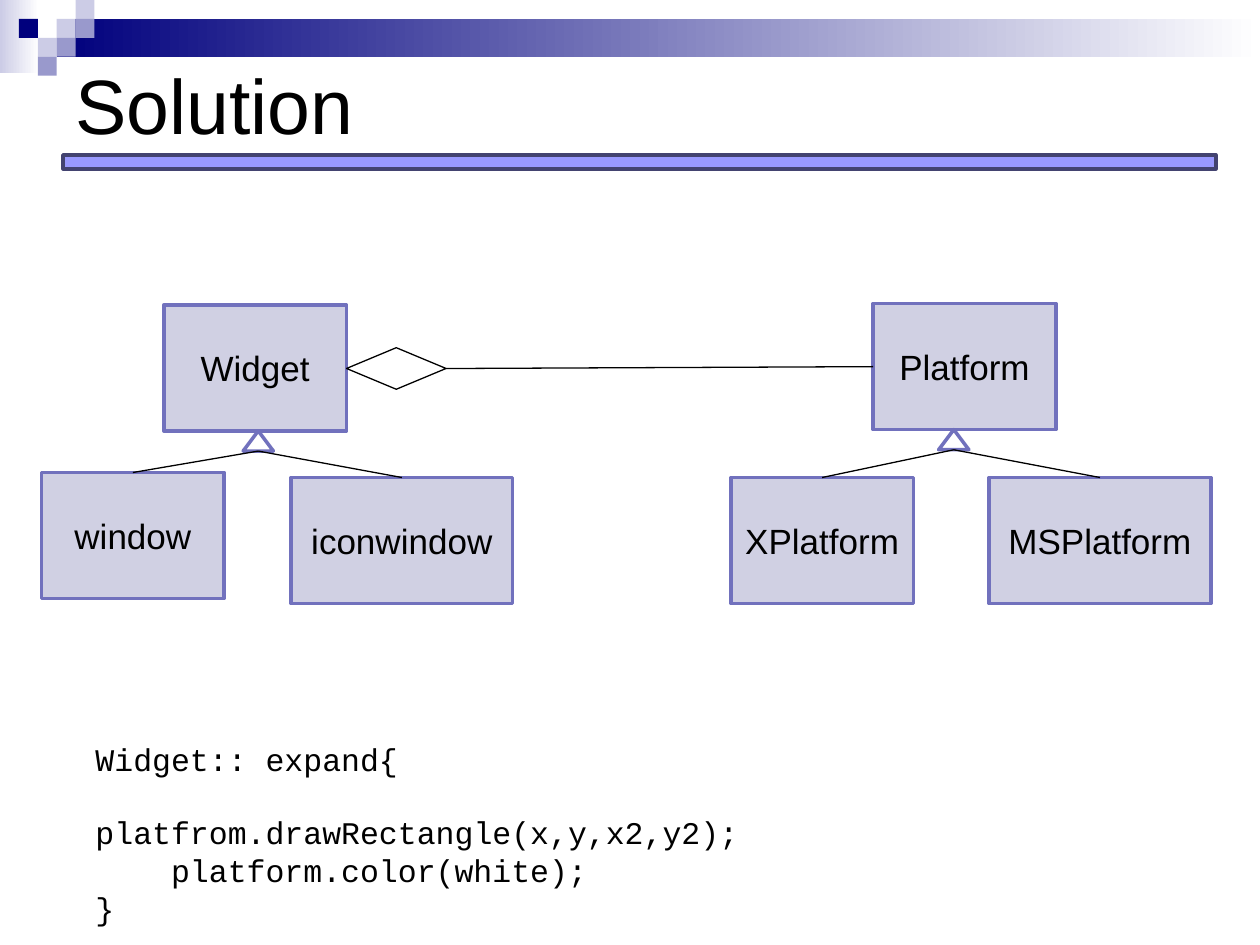
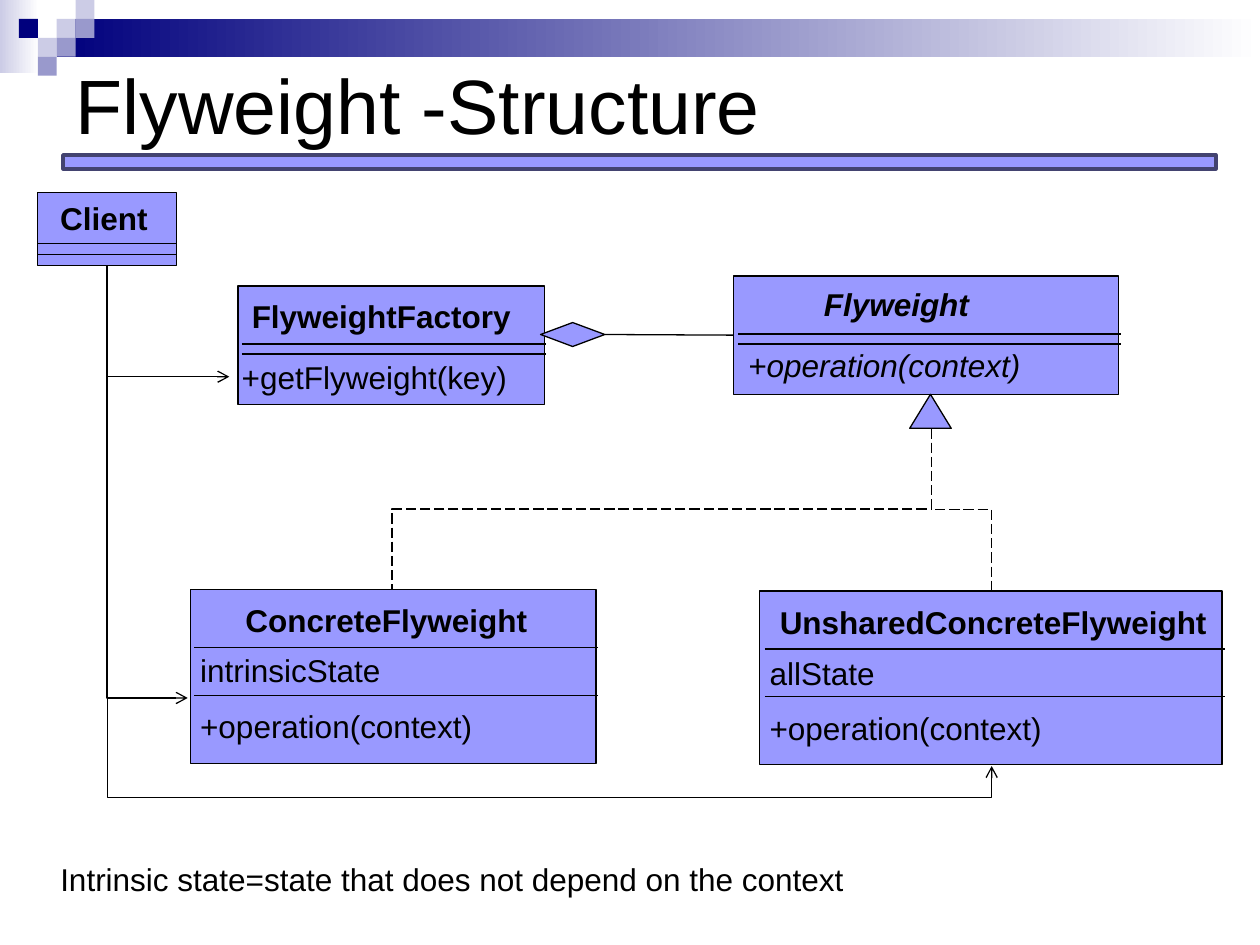
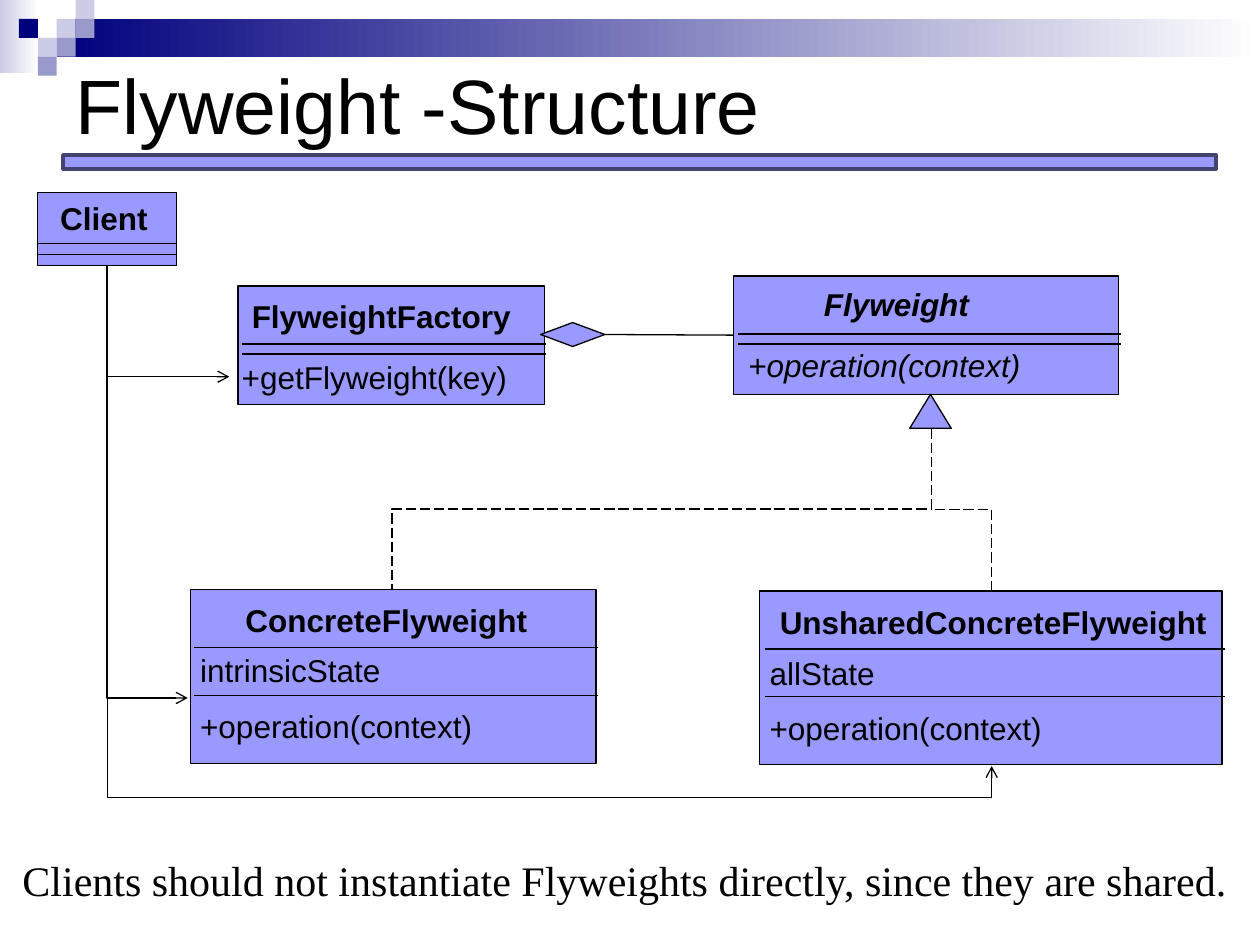
from lxml.etree import SubElement
from pptx import Presentation
from pptx.dml.color import RGBColor
from pptx.enum.dml import MSO_LINE
from pptx.enum.shapes import MSO_CONNECTOR, MSO_SHAPE
from pptx.enum.text import MSO_ANCHOR, PP_ALIGN
from pptx.oxml.ns import qn
from pptx.util import Inches, Pt

BLACK = RGBColor(0x00, 0x00, 0x00)
WHITE = RGBColor(0xFF, 0xFF, 0xFF)
NAVY = RGBColor(0x00, 0x00, 0x7D)
PALE = RGBColor(0xCC, 0xCC, 0xE6)
MID = RGBColor(0x99, 0x99, 0xCC)
PERIWINKLE = RGBColor(0x99, 0x99, 0xFF)
SLATE = RGBColor(0x43, 0x43, 0x70)
LAVENDER = RGBColor(0xD0, 0xD0, 0xE3)
VIOLET = RGBColor(0x71, 0x71, 0xBD)

CELL = 0.15  # side of a checker square in the header


def write(shape, text, size=18, font="Arial", bold=False, italic=False,
          align=PP_ALIGN.LEFT, anchor=MSO_ANCHOR.TOP):
    frame = shape.text_frame
    frame.text = text
    frame.word_wrap = False
    frame.vertical_anchor = anchor
    for paragraph in frame.paragraphs:
        paragraph.alignment = align
        for run in paragraph.runs:
            run.font.name, run.font.size = font, Pt(size)
            run.font.bold, run.font.italic = bold, italic
            run.font.color.rgb = BLACK
    return shape


def style(item, fill=None, outline=BLACK, weight=0.75):
    """Format a shape or connector; fill may be a colour or a pair for a gradient."""
    if outline is None:
        item.line.fill.background()
    else:
        item.line.color.rgb = outline
        item.line.width = Pt(weight)
    if not hasattr(item, "fill"):
        SubElement(item._element.spPr, qn("a:effectLst"))
        return item
    item.shadow.inherit = False
    if fill is None:
        item.fill.background()
    elif isinstance(fill, RGBColor):
        item.fill.solid()
        item.fill.fore_color.rgb = fill
    else:
        item.fill.gradient()
        item.fill.gradient_angle = 0
        for stop, color in zip(item.fill.gradient_stops, fill):
            stop.color.rgb = color
    return item


prs = Presentation()
prs.slide_width, prs.slide_height = Inches(10), Inches(7.5)
layout = prs.slide_layouts[5]

# Slides and their titles
slides = []
for heading in ("Solution", "Flyweight -Structure", "Flyweight -Structure"):
    slide = prs.slides.add_slide(layout)
    title = slide.shapes.title
    title.left, title.top, title.width, title.height = map(Inches, (0.5, 0.07, 9, 1.5))
    write(title, heading, size=44, anchor=MSO_ANCHOR.MIDDLE)
    slides.append(slide)
solution, *structures = slides

# Header band, checker squares and title rule, moved to the shared layout
header = [((0, 0, 0.31, 0.58), (PALE, WHITE), None),
          ((0.45, CELL, 9.55, 2 * CELL), (NAVY, WHITE), None)]
for column, row, color in ((3, 1, PALE), (4, 0, PALE), (4, 1, MID), (2, 2, PALE),
                           (1, 1, NAVY), (3, 2, MID), (2, 3, MID)):
    header.append(((column * CELL, row * CELL, CELL, CELL), color, None))
header.append(((0.5, 1.23, 9.15, 0.11), PERIWINKLE, SLATE))
for place, fill, outline in header:
    part = solution.shapes.add_shape(MSO_SHAPE.RECTANGLE, *map(Inches, place))
    style(part, fill, outline, 2)
    layout.shapes.element.append(part._element)

# Solution: two class hierarchies
boxes = {}
for name, left, top, width in (
        ("Platform", 6.93, 2.41, 1.45), ("Widget", 1.3, 2.42, 1.45),
        ("window", 0.33, 3.75, 1.45), ("iconwindow", 2.31, 3.79, 1.76),
        ("MSPlatform", 7.85, 3.79, 1.76), ("XPlatform", 5.8, 3.79, 1.45)):
    box = solution.shapes.add_shape(
        MSO_SHAPE.RECTANGLE, *map(Inches, (left, top, width, 1)))
    style(box, LAVENDER, VIOLET, 2)
    boxes[name] = write(box, name, size=20, align=PP_ALIGN.CENTER,
                        anchor=MSO_ANCHOR.MIDDLE)

for tip_x, tip_y, children in ((2.05, 3.42, ("window", "iconwindow")),
                               (7.57, 3.41, ("XPlatform", "MSPlatform"))):
    triangle = solution.shapes.add_shape(
        MSO_SHAPE.ISOSCELES_TRIANGLE, *map(Inches, (tip_x - 0.12, tip_y, 0.24, 0.16)))
    style(triangle, outline=VIOLET, weight=2)
    for child in children:
        branch = solution.shapes.add_connector(
            MSO_CONNECTOR.STRAIGHT, Inches(tip_x), Inches(tip_y + 0.16), 0, 0)
        branch.end_connect(boxes[child], 0)
        style(branch)

diamond = solution.shapes.add_shape(
    MSO_SHAPE.DIAMOND, *map(Inches, (2.75, 2.76, 0.79, 0.33)))
style(diamond)
link = solution.shapes.add_connector(MSO_CONNECTOR.STRAIGHT, 0, 0, 0, 0)
link.begin_connect(diamond, 3)
link.end_connect(boxes["Platform"], 1)
style(link)

code = solution.shapes.add_textbox(*map(Inches, (0.66, 5.82, 5.46, 1.31)))
write(code, "Widget:: expand{\nplatfrom.drawRectangle(x,y,x2,y2);\n"
            "platform.color(white);\n}", font="Courier New")
code.text_frame.paragraphs[1].space_before = Pt(20.4)
code.text_frame.paragraphs[2]._p.get_or_add_pPr().set("marL", str(Inches(0.6)))

# Class boxes: place, name (offset x, y, width), rule offsets and shift,
# members (offset x, y, width, height), italic
CLASSES = (
    ("FlyweightFactory", (1.89, 2.27, 2.43, 0.94), (0.01, 0.04, 2.26), (0.46, 0.54), 0.03,
     "+getFlyweight(key)", (-0.07, 0.52, 2.31, 0.4), False),
    ("Flyweight", (5.82, 2.19, 3.06, 0.94), (0.62, 0.02, 1.45), (0.46, 0.54), 0.04,
     "+operation(context)", (0.02, 0.51, 2.36, 0.4), True),
    ("ConcreteFlyweight", (1.51, 4.68, 3.22, 1.38), (0.34, 0.04, 2.44), (0.46, 0.84), 0.03,
     "intrinsicState\n+operation(context)", (-0.02, 0.44, 2.36, 0.84), False),
    ("Client", (0.3, 1.53, 1.1, 0.58), (0.08, 0, 0.9), (0.4, 0.49), 0, "", None, False),
    ("UnsharedConcreteFlyweight", (6.03, 4.69, 3.67, 1.38), (0.06, 0.05, 3.59),
     (0.46, 0.84), 0.04,
     "allState\n+operation(context)", (-0.02, 0.45, 2.36, 0.84), False),
)
# Elbows leaving downwards: start, end, preset, bend share, dashed
ELBOWS = (
    ((0.85, 2.11), (7.87, 6.08), "bentConnector3", 1.063, False),
    ((0.85, 2.11), (1.49, 5.54), "bentConnector2", None, False),
    ((0.85, 2.11), (1.82, 2.99), "bentConnector2", None, False),
    ((7.39, 3.4), (7.87, 4.69), "bentConnector3", 0.5, True),
    ((7.39, 3.4), (3.11, 4.68), "bentConnector3", 0.5, True),
)

for slide in structures:
    outlines = {}
    for name, place, name_at, rules, shift, members, members_at, italic in CLASSES:
        left, top, width, height = place
        parts = slide.shapes.add_group_shape().shapes
        outlines[name] = style(
            parts.add_shape(MSO_SHAPE.RECTANGLE, *map(Inches, place)), PERIWINKLE)
        for offset in rules:
            style(parts.add_connector(MSO_CONNECTOR.STRAIGHT, *map(Inches, (
                left + shift, top + offset, left + width + shift / 2, top + offset))))
        x, y, name_width = name_at
        label = parts.add_textbox(*map(Inches, (left + x, top + y, name_width, 0.4)))
        write(label, name, bold=True, italic=italic)
        if members:
            x, y, *size = members_at
            listing = parts.add_textbox(*map(Inches, (left + x, top + y, *size)))
            write(listing, members, italic=italic)
            for paragraph in listing.text_frame.paragraphs[1:]:
                paragraph.space_before = Pt(10)

    for (x1, y1), (x2, y2), preset, bend, dashed in ELBOWS:
        # The preset runs sideways, so its frame is turned a quarter about its centre
        run, drop = abs(x2 - x1), y2 - y1
        left, top = (x1 + x2 - drop) / 2, (y1 + y2 - run) / 2
        elbow = slide.shapes.add_connector(
            MSO_CONNECTOR.ELBOW, *map(Inches, (left, top, left + drop, top + run)))
        style(elbow)
        properties = elbow._element.spPr
        frame = properties.find(qn("a:xfrm"))
        frame.set("rot", "16200000" if x2 > x1 else "5400000")
        if x2 > x1:
            frame.set("flipH", "1")
        geometry = properties.find(qn("a:prstGeom"))
        geometry.set("prst", preset)
        if bend:
            SubElement(geometry.find(qn("a:avLst")), qn("a:gd"),
                       name="adj1", fmla=f"val {round(bend * 100000)}")
        if dashed:
            elbow.line.dash_style = MSO_LINE.LONG_DASH
        else:
            SubElement(properties.find(qn("a:ln")), qn("a:tailEnd"), type="arrow")

    diamond = slide.shapes.add_shape(
        MSO_SHAPE.DIAMOND, *map(Inches, (4.29, 2.56, 0.51, 0.19)))
    style(diamond, PERIWINKLE)
    link = slide.shapes.add_connector(MSO_CONNECTOR.STRAIGHT, 0, 0, 0, 0)
    link.begin_connect(diamond, 3)
    link.end_connect(outlines["Flyweight"], 1)
    style(link)
    triangle = slide.shapes.add_shape(
        MSO_SHAPE.ISOSCELES_TRIANGLE, *map(Inches, (7.22, 3.13, 0.33, 0.27)))
    style(triangle, PERIWINKLE)

# Closing remarks
intrinsic, shared = structures
remark = intrinsic.shapes.add_textbox(*map(Inches, (0.38, 6.78, 6.42, 0.4)))
write(remark, "Intrinsic state=state that does not depend on the context")
remark = shared.shapes.add_textbox(*map(Inches, (0.08, 6.73, 9.85, 0.5)))
write(remark, "Clients should not instantiate Flyweights directly, since they are shared.",
      size=24, font="Times New Roman")

prs.save("out.pptx")
